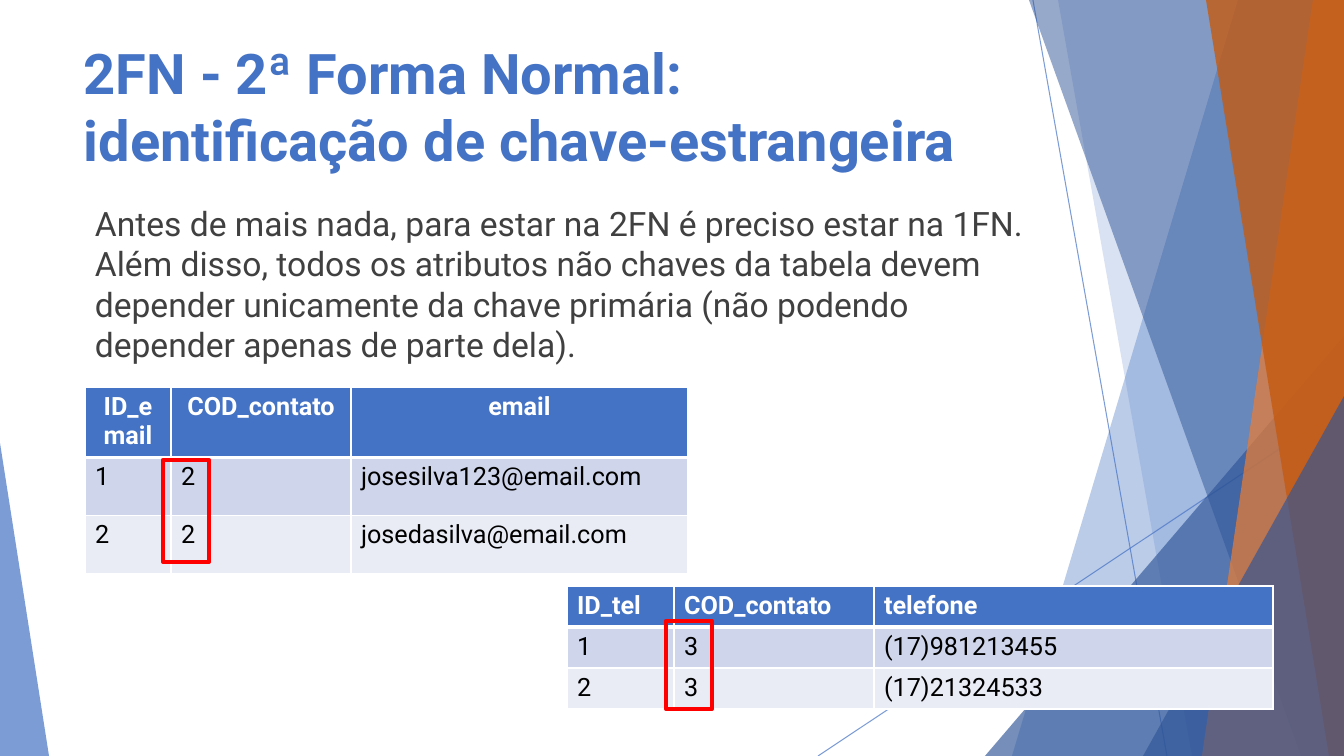
"""Build the slide on the second normal form and its foreign keys."""
from lxml import etree
from pptx import Presentation
from pptx.dml.color import RGBColor
from pptx.enum.shapes import MSO_CONNECTOR, MSO_SHAPE
from pptx.enum.text import MSO_ANCHOR, PP_ALIGN
from pptx.oxml.ns import qn
from pptx.util import Pt

STRAIGHT = MSO_CONNECTOR.STRAIGHT
TRIANGLE, RECTANGLE = MSO_SHAPE.ISOSCELES_TRIANGLE, MSO_SHAPE.RECTANGLE
TOP, BOTTOM = MSO_ANCHOR.TOP, MSO_ANCHOR.BOTTOM
LEFT, CENTER = PP_ALIGN.LEFT, PP_ALIGN.CENTER
WIDTH, HEIGHT = 1344, 756
SCALE = 914400 / 100.8
BLUE, NAVY, WHITE, RED = "4472C4", "2F5597", "FFFFFF", "FF0000"


def emu(*pixels):
    return [round(pixel * SCALE) for pixel in pixels]


def paint(target, colour, alpha=100):
    target.rgb = RGBColor.from_string(colour)
    if alpha < 100:
        for node in target._xFill.iter(qn("a:srgbClr")):
            etree.SubElement(node, qn("a:alpha"), val=str(alpha * 1000))


deck = Presentation()
deck.slide_width, deck.slide_height = emu(WIDTH, HEIGHT)
page = deck.slides.add_slide(deck.slide_layouts[6])
shapes = page.shapes

for ends in [(1033, 0, 1167, HEIGHT), (WIDTH, 406, 818, HEIGHT)]:
    ray = shapes.add_connector(STRAIGHT, *emu(*ends))
    ray.line.width = Pt(0.75)
    ray.line.fill.solid()
    ray.line.color.rgb = RGBColor.from_string(BLUE)
    for node in ray._element.spPr.iter(qn("a:srgbClr")):
        etree.SubElement(node, qn("a:alpha"), val="70000")
    etree.SubElement(ray._element.spPr, qn("a:effectLst"))

facets = [
    ("band", (1238, 1012), BLUE, 36),
    ("band", (1058, 1192), BLUE, 20),
    ("triangle", (985, 336, 359, 1), NAVY, 66),
    ("band", (1029, 1301), NAVY, 50),
    ("band", (1313, 1202), "ED7D31", 70),
    ("band", (1206, 1329), "C55A11", 80),
    ("triangle", (1143, 396, 201, 1), NAVY, 66),
    ("triangle", (0, 443, 49, 0), BLUE, 70),
]
for kind, place, colour, alpha in facets:
    if kind == "band":
        top_left, bottom_left = place
        outline = shapes.build_freeform(*emu(top_left, 0), scale=1.0)
        corners = [(WIDTH, 0), (WIDTH, HEIGHT), (bottom_left, HEIGHT)]
        outline.add_line_segments([emu(*corner) for corner in corners])
        facet = outline.convert_to_shape()
    else:
        left, top, width, apex = place
        facet = shapes.add_shape(TRIANGLE, *emu(left, top, width, HEIGHT - top))
        facet.adjustments[0] = apex
    facet.shadow.inherit = False
    facet.line.fill.background()
    facet.fill.solid()
    facet.fill.fore_color.rgb = RGBColor.from_string(colour)
    for node in facet._element.spPr.iter(qn("a:srgbClr")):
        etree.SubElement(node, qn("a:alpha"), val=str(alpha * 1000))

texts = [
    ((74, 33, 948, 145), "2FN - 2ª Forma Normal: identificação de chave-estrangeira",
     40, BLUE, True, BOTTOM, 0),
    ((85, 198, 981, 190),
     "Antes de mais nada, para estar na 2FN é preciso estar na 1FN. "
     "Além disso, todos os atributos não chaves da tabela devem depender "
     "unicamente da chave primária (não podendo depender apenas de parte dela).",
     24, "404040", False, TOP, 10),
]
for place, words, size, colour, bold, anchor, space in texts:
    box = shapes.add_textbox(*emu(*place))
    box.text_frame.word_wrap = True
    box.text_frame.vertical_anchor = anchor
    para = box.text_frame.paragraphs[0]
    para.space_before = Pt(space)
    span = para.add_run()
    span.text = words
    span.font.name, span.font.size, span.font.bold = "Roboto", Pt(size), bold
    span.font.color.rgb = RGBColor.from_string(colour)

tables = [
    ((85, 387), (86, 180, 337), (68, 58, 58), CENTER, (163, 460, 46, 102),
     [("ID_email", "COD_contato", "email"),
      ("1", "2", "josesilva123@email.com"),
      ("2", "2", "josedasilva@email.com")]),
    ((567, 586), (107, 200, 399), (41, 41, 41), LEFT, (666, 621, 46, 88),
     [("ID_tel", "COD_contato", "telefone"),
      ("1", "3", "(17)981213455"),
      ("2", "3", "(17)21324533")]),
]
row_fills = [BLUE, "CFD5EA", "E9EBF5"]
for corner, widths, heights, header_align, key_frame, records in tables:
    frame = shapes.add_table(len(records), len(widths),
                             *emu(*corner, sum(widths), sum(heights)))
    grid = frame.table
    for column, width in zip(grid.columns, emu(*widths)):
        column.width = width
    for row, height in zip(grid.rows, emu(*heights)):
        row.height = height
    for index, record in enumerate(records):
        header = index == 0
        for number, words in enumerate(record):
            cell = grid.cell(index, number)
            properties = cell._tc.get_or_add_tcPr()
            for side in "LRTB":
                thick = (side, index) in [("B", 0), ("T", 1)]
                border = etree.SubElement(properties, qn(f"a:ln{side}"),
                                          w=str(Pt(3 if thick else 1)))
                solid = etree.SubElement(border, qn("a:solidFill"))
                etree.SubElement(solid, qn("a:srgbClr"), val=WHITE)
            cell.fill.solid()
            cell.fill.fore_color.rgb = RGBColor.from_string(row_fills[index])
            para = cell.text_frame.paragraphs[0]
            para.alignment = header_align if header else LEFT
            span = para.add_run()
            span.text = words
            span.font.name, span.font.size, span.font.bold = "Roboto", Pt(18), header
            span.font.color.rgb = RGBColor.from_string(WHITE if header else "000000")
    key_box = shapes.add_shape(RECTANGLE, *emu(*key_frame))
    key_box.shadow.inherit = False
    key_box.fill.background()
    key_box.line.width = Pt(3)
    key_box.line.color.rgb = RGBColor.from_string(RED)

deck.save("out.pptx")
